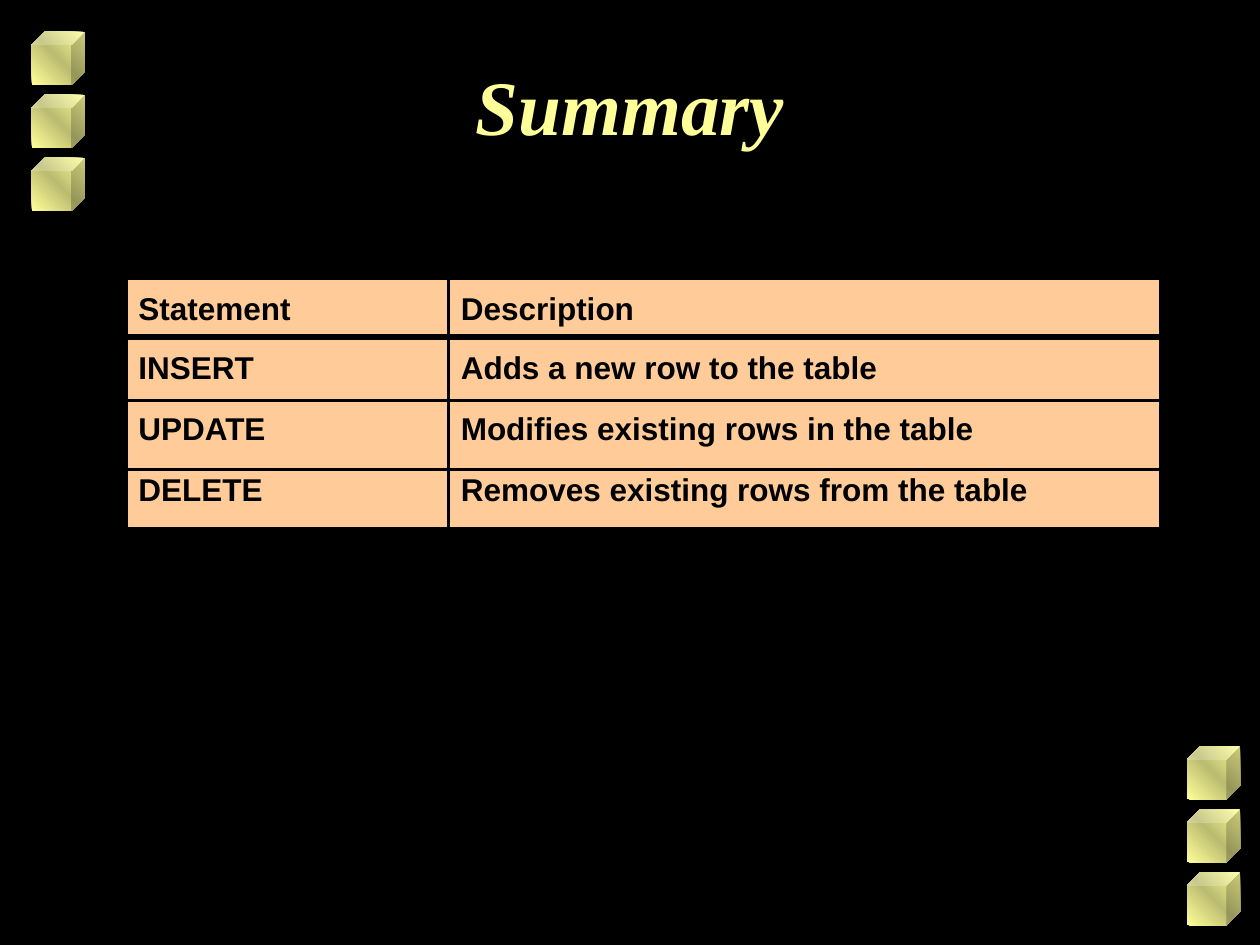
import copy
from dataclasses import dataclass

import pptx
import pptx.dml.color
import pptx.enum.shapes
import pptx.enum.text
import pptx.oxml.ns
import pptx.util
from lxml import etree

Cm, Pt = pptx.util.Cm, pptx.util.Pt
RGB = pptx.dml.color.RGBColor
BLACK = RGB(0x00, 0x00, 0x00)
CREAM = RGB(0xFF, 0xFF, 0x99)
OLIVE = RGB(0xBC, 0xBC, 0x71)
PEACH = RGB(0xFF, 0xCC, 0x99)


@dataclass
class Stack:
    left: float
    top: float


@dataclass
class Row:
    name: str
    text: str
    height: float
    inset: float


STACKS = [Stack(0.64, 0.64), Stack(23.93, 15.04)]
ROWS = [
    Row("Statement", "Description", 1.19, 0.28),
    Row("INSERT", "Adds a new row to the table", 1.27, 0.28),
    Row("UPDATE", "Modifies existing rows in the table", 1.4, 0.24),
    Row("DELETE", "Removes existing rows from the table", 1.19, 0.06),
]
WIDTHS = [6.5, 14.35]


def style(run, size: float, font: str, color: RGB) -> None:
    run.font.size = Pt(size)
    run.font.name = font
    run.font.bold = True
    run.font.color.rgb = color


def add_cube(slide, left: float, top: float) -> None:
    cube = slide.shapes.add_shape(
        pptx.enum.shapes.MSO_SHAPE.CUBE, Cm(left), Cm(top), Cm(1.07), Cm(1.07))
    cube.shadow.inherit = False
    cube.line.fill.background()
    cube.fill.gradient()
    cube.fill.gradient_angle = 45
    # Light at both ends, dark in the middle
    stops = cube._element.spPr.find(".//" + pptx.oxml.ns.qn("a:gsLst"))
    stops.append(copy.deepcopy(stops[-1]))
    for stop, place, color in zip(
            cube.fill.gradient_stops, (0, 0.5, 1), (CREAM, OLIVE, CREAM)):
        stop.position = place
        stop.color.rgb = color


def add_edge(cell, side: str, width: float) -> None:
    qn = pptx.oxml.ns.qn
    line = etree.SubElement(
        cell._tc.get_or_add_tcPr(), qn("a:ln" + side), w=str(Pt(width)))
    fill = etree.SubElement(line, qn("a:solidFill"))
    etree.SubElement(fill, qn("a:srgbClr"), val=str(BLACK))


def fill_cell(cell, text: str, inset: float, edges: dict[str, float]) -> None:
    for side, width in edges.items():
        add_edge(cell, side, width)
    cell.fill.solid()
    cell.fill.fore_color.rgb = PEACH
    cell.vertical_anchor = pptx.enum.text.MSO_ANCHOR.TOP
    cell.margin_left = cell.margin_right = Cm(0.25)
    cell.margin_top, cell.margin_bottom = Cm(inset), 0
    cell.text_frame.text = text
    style(cell.text_frame.paragraphs[0].runs[0], 18, "Arial", BLACK)


def add_grid(slide, left: float, top: float, rows: list[Row]) -> None:
    grid = slide.shapes.add_table(
        len(rows), len(WIDTHS), Cm(left), Cm(top),
        Cm(sum(WIDTHS)), Cm(sum(row.height for row in rows))).table
    for col, width in zip(grid.columns, WIDTHS):
        col.width = Cm(width)
    for i, row in enumerate(rows):
        grid.rows[i].height = Cm(row.height)
        # The rule under the header is heavier
        edges = {"L": 2, "R": 2, "T": 4 if i == 1 else 2, "B": 4 if i == 0 else 2}
        for j, text in enumerate((row.name, row.text)):
            fill_cell(grid.cell(i, j), text, row.inset, edges)


def main() -> None:
    deck = pptx.Presentation()
    deck.slide_width, deck.slide_height = Cm(25.4), Cm(19.05)
    slide = deck.slides.add_slide(deck.slide_layouts[5])
    slide.background.fill.solid()
    slide.background.fill.fore_color.rgb = BLACK

    # Corner cubes
    for stack in STACKS:
        for i in range(3):
            add_cube(slide, stack.left, stack.top + 1.27 * i)

    # Title
    title = slide.shapes.title
    title.left, title.top = Cm(1.9), Cm(0.84)
    title.width, title.height = Cm(21.6), Cm(3.18)
    frame = title.text_frame
    frame.text = "Summary"
    frame.vertical_anchor = pptx.enum.text.MSO_ANCHOR.TOP
    frame.margin_top = Cm(0.33)
    para = frame.paragraphs[0]
    para.alignment = pptx.enum.text.PP_ALIGN.CENTER
    style(para.runs[0], 44, "Times New Roman", CREAM)
    para.runs[0].font.italic = True

    # Statement table
    add_grid(slide, 2.54, 5.61, ROWS)

    deck.save("out.pptx")


if __name__ == "__main__":
    main()
